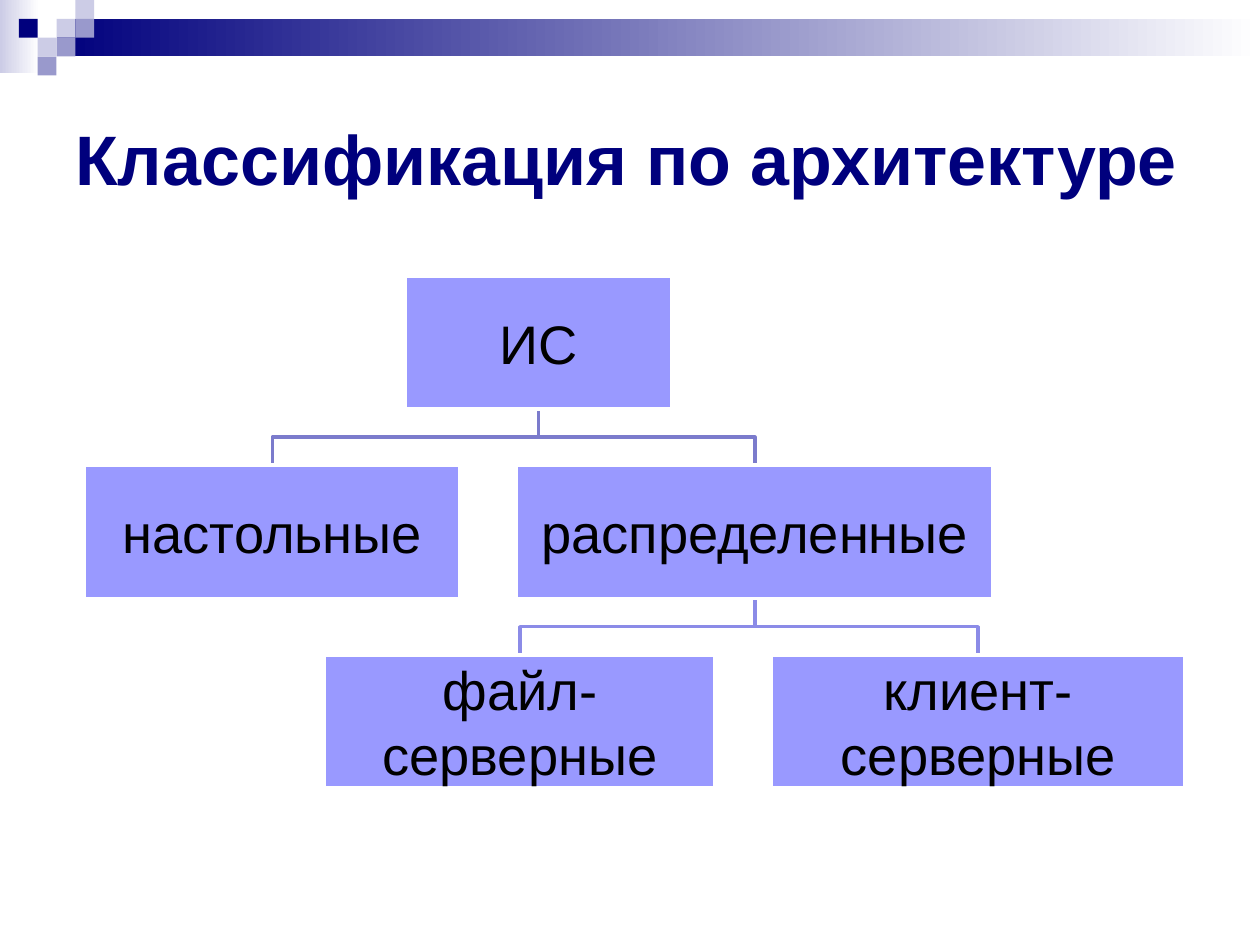
from pptx import Presentation
from pptx.dml.color import RGBColor
from pptx.enum.shapes import MSO_SHAPE
from pptx.enum.text import MSO_ANCHOR, PP_ALIGN
from pptx.util import Cm, Pt

NAVY = RGBColor(0x00, 0x00, 0x7D)
MIST = RGBColor(0xCC, 0xCC, 0xE6)
LILAC = RGBColor(0x99, 0x99, 0xCC)
PERIWINKLE = RGBColor(0x99, 0x99, 0xFF)
WHITE = RGBColor(0xFF, 0xFF, 0xFF)
BLACK = RGBColor(0x00, 0x00, 0x00)
LINK_COLOURS = [RGBColor(0x7B, 0x7B, 0xCC), RGBColor(0x8B, 0x8B, 0xE7)]

FONT = "Arial"
CELL = 0.38
NODE_HEIGHT = 2.69
LEVEL_STEP = 3.82
SIBLING_GAP = 1.14

TREE = ("ИС", 5.38, [
    ("настольные", 7.57, []),
    ("распределенные", 9.6, [
        ("файл-серверные", 7.87, []),
        ("клиент-серверные", 8.33, []),
    ]),
])


def add_block(page, left, top, width, height):
    block = page.shapes.add_shape(
        MSO_SHAPE.RECTANGLE, Cm(left), Cm(top), Cm(width), Cm(height))
    block.shadow.inherit = False
    block.line.fill.background()
    return block


def fill_solid(block, colour):
    block.fill.solid()
    block.fill.fore_color.rgb = colour


def fill_fade(block, colour):
    block.fill.gradient()
    block.fill.gradient_angle = 0
    first, last = block.fill.gradient_stops
    first.color.rgb, first.position = colour, 0
    last.color.rgb, last.position = WHITE, 1


def style_text(box, text, size, colour, bold=False):
    frame = box.text_frame
    frame.word_wrap = True
    frame.vertical_anchor = MSO_ANCHOR.MIDDLE
    frame.text = text
    font = frame.paragraphs[0].runs[0].font
    font.name, font.size, font.bold = FONT, Pt(size), bold
    font.color.rgb = colour


def add_header(page, left, top, width):
    fill_fade(add_block(page, left, top, 0.79, 1.47), MIST)
    bar_left = 3 * CELL
    fill_fade(add_block(page, left + bar_left, top + CELL,
                        width - bar_left, 2 * CELL), NAVY)
    squares = [(3, 1, MIST), (4, 0, MIST), (4, 1, LILAC), (2, 2, MIST),
               (1, 1, NAVY), (3, 2, LILAC), (2, 3, LILAC)]
    for column, row, colour in squares:
        square = add_block(page, left + column * CELL, top + row * CELL, CELL, CELL)
        fill_solid(square, colour)


def add_title(page, left, top, width, height):
    box = page.shapes.add_textbox(Cm(left), Cm(top), Cm(width), Cm(height))
    style_text(box, "Классификация по архитектуре", 40, NAVY, bold=True)


def add_link(page, start_x, start_y, end_x, end_y, colour):
    middle_y = (start_y + end_y) / 2
    builder = page.shapes.build_freeform(Cm(start_x), Cm(start_y))
    corners = [(start_x, middle_y), (end_x, middle_y), (end_x, end_y)]
    builder.add_line_segments([(Cm(x), Cm(y)) for x, y in corners], close=False)
    link = builder.convert_to_shape()
    link.shadow.inherit = False
    link.fill.background()
    link.line.color.rgb = colour
    link.line.width = Pt(2)


def add_node(page, text, left, top, width):
    node = add_block(page, left, top, width, NODE_HEIGHT)
    fill_solid(node, PERIWINKLE)
    node.line.color.rgb = WHITE
    node.line.width = Pt(2)
    frame = node.text_frame
    frame.margin_left = frame.margin_right = Cm(0.05)
    frame.margin_top = frame.margin_bottom = Cm(0.05)
    style_text(node, text, 31, BLACK)
    frame.paragraphs[0].alignment = PP_ALIGN.CENTER


def add_tree(page, branch, center, top, level=0):
    text, width, children = branch
    row_width = sum(child[1] + SIBLING_GAP for child in children) - SIBLING_GAP
    left = center - row_width / 2
    for child in children:
        child_center = left + child[1] / 2
        child_top = top + LEVEL_STEP
        add_link(page, center, top + NODE_HEIGHT, child_center, child_top,
                 LINK_COLOURS[level])
        add_tree(page, child, child_center, child_top, level + 1)
        left += child[1] + SIBLING_GAP
    add_node(page, text, center - width / 2, top, width)


def main():
    deck = Presentation()
    deck.slide_width, deck.slide_height = Cm(25.4), Cm(19.05)
    page = deck.slides.add_slide(deck.slide_layouts[6])
    add_header(page, 0, 0, 25.4)
    add_title(page, 1.27, 1.27, 22.86, 3.81)
    add_tree(page, TREE, 10.86, 5.56)
    deck.save("out.pptx")


if __name__ == "__main__":
    main()
